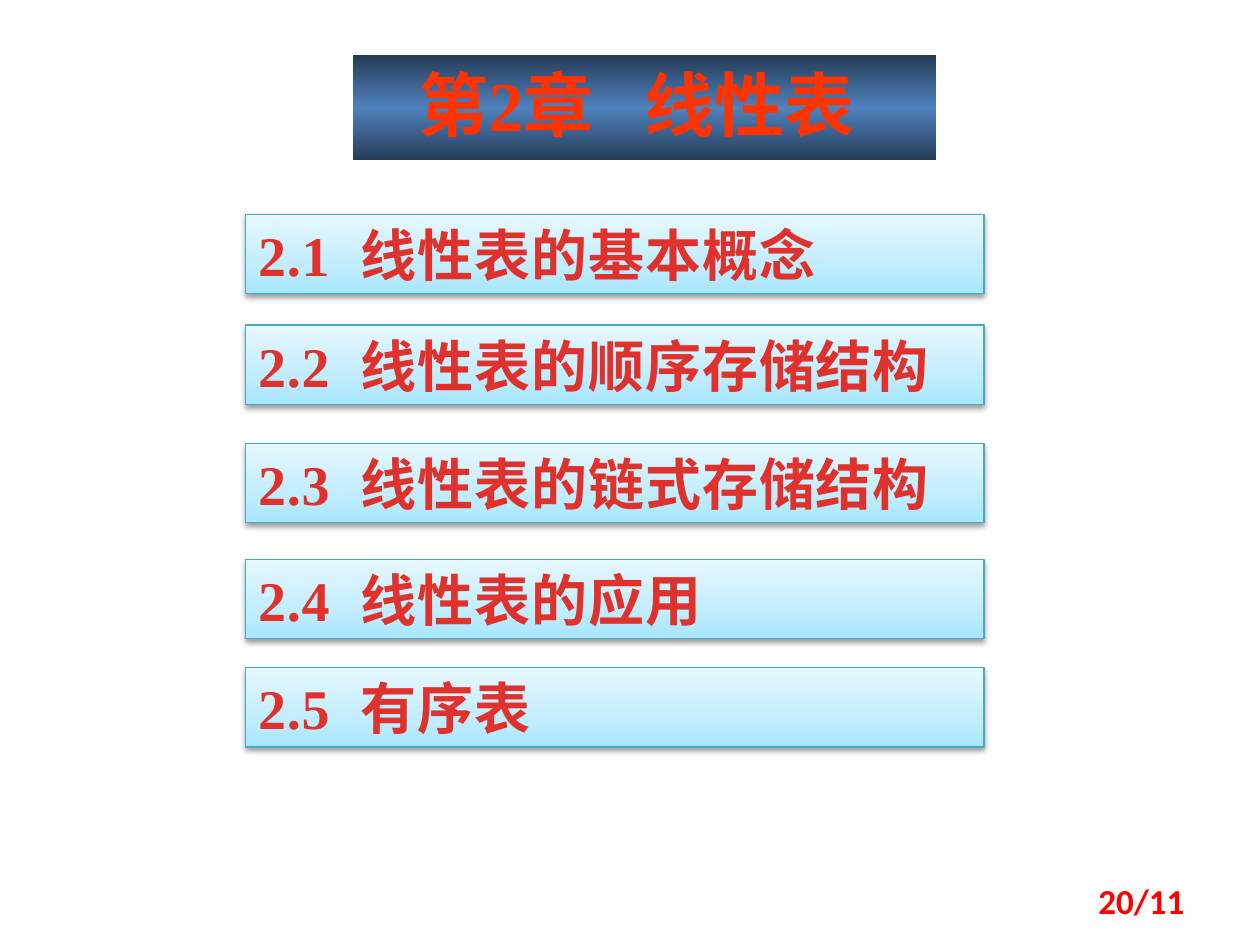
from lxml import etree
from pptx import Presentation, util as u
from pptx.dml.color import RGBColor
from pptx.enum import shapes, text
from pptx.oxml.ns import qn

HUES = {
    "title": "FF3300", "item": "E0322D", "page": "FF0000",
    "edge": "46AAC5", "shade": "000000",
    "navy": "253C57", "blue": "4F81BD",
    "sky": "A7E6FF", "pale": "C1EDFF", "ice": "E7F8FF",
}
BAND = [(0, "navy"), (50, "blue"), (100, "navy")]
GLASS = [(0, "sky"), (35, "pale"), (100, "ice")]


class Deck:
    face = "Times New Roman"

    def __init__(self, wide, high):
        self.file = Presentation()
        self.file.slide_width = u.Inches(wide)
        self.file.slide_height = u.Inches(high)
        self.slide = self.file.slides.add_slide(self.file.slide_layouts[5])

    def span(self, x, y, w, h):
        wide, high = self.file.slide_width, self.file.slide_height
        return [u.Emu(round(n)) for n in (x * wide, y * high, w * wide, h * high)]

    def tint(self, name):
        return RGBColor.from_string(HUES[name])

    def blend(self, shape, stops):
        shape.fill.gradient()
        shape.fill.gradient_angle = 90
        steps = shape.element.spPr.find(qn("a:gradFill")).find(qn("a:gsLst"))
        for old in list(steps):
            steps.remove(old)
        for at, name in stops:
            stop = etree.SubElement(steps, qn("a:gs"), pos=str(at * 1000))
            etree.SubElement(stop, qn("a:srgbClr"), val=HUES[name])

    def glow(self, shape):
        shape.shadow.inherit = False
        cast = etree.SubElement(
            shape.element.spPr.find(qn("a:effectLst")), qn("a:outerShdw"),
            blurRad=str(u.Pt(3.1)), dist=str(u.Pt(1.6)), dir="5400000",
            rotWithShape="0")
        hue = etree.SubElement(cast, qn("a:srgbClr"), val=HUES["shade"])
        etree.SubElement(hue, qn("a:alpha"), val="38000")

    def label(self, shape, parts, size, hue, align, face=None, track=0, gap=0):
        frame = shape.text_frame
        frame.word_wrap = True
        para = frame.paragraphs[0]
        para.alignment = align
        for part in parts:
            run = para.add_run()
            run.text = part
            run.font.size = u.Pt(size)
            run.font.name = face or self.face
            run.font.bold = True
            run.font.color.rgb = self.tint(hue)
            extra = gap if part == " " else track
            if extra:
                run.font._element.set("spc", str(round(extra * 100)))
        return frame

    def title(self, parts, *box):
        shape = self.slide.shapes.title
        shape.left, shape.top, shape.width, shape.height = self.span(*box)
        self.blend(shape, BAND)
        frame = self.label(shape, parts, 40, "title", text.PP_ALIGN.CENTER, gap=20)
        frame.vertical_anchor = text.MSO_ANCHOR.TOP
        frame.auto_size = text.MSO_AUTO_SIZE.SHAPE_TO_FIT_TEXT

    def item(self, parts, *box):
        shape = self.slide.shapes.add_shape(
            shapes.MSO_SHAPE.RECTANGLE, *self.span(*box))
        self.blend(shape, GLASS)
        shape.line.color.rgb = self.tint("edge")
        shape.line.width = u.Pt(0.75)
        self.glow(shape)
        frame = self.label(shape, parts, 32, "item", text.PP_ALIGN.LEFT,
                           track=0.5, gap=9)
        frame.vertical_anchor = text.MSO_ANCHOR.TOP
        frame.auto_size = text.MSO_AUTO_SIZE.SHAPE_TO_FIT_TEXT

    def page(self, mark, *box):
        shape = self.slide.shapes.add_textbox(*self.span(*box))
        frame = self.label(shape, [mark], 20, "page", text.PP_ALIGN.RIGHT, "Calibri")
        frame.vertical_anchor = text.MSO_ANCHOR.MIDDLE


WIDE, HIGH = 10, 7.5
deck = Deck(WIDE, HIGH)
deck.title(["第2章", " ", "线性表 "], 2.8 / WIDE, 0.44 / HIGH, 4.63 / WIDE, 0.77 / HIGH)

TOPICS = [
    (1.7, "线性表的基本概念"),
    (2.58, "线性表的顺序存储结构"),
    (3.52, "线性表的链式存储结构"),
    (4.44, "线性表的应用"),
    (5.3, "有序表"),
]
for count, (top, topic) in enumerate(TOPICS, 1):
    deck.item([f"2.{count}", " ", topic],
              1.95 / WIDE, top / HIGH, 5.86 / WIDE, 0.63 / HIGH)

deck.page("20/11", 7.17 / WIDE, 6.95 / HIGH, 2.33 / WIDE, 0.4 / HIGH)
deck.file.save("out.pptx")
